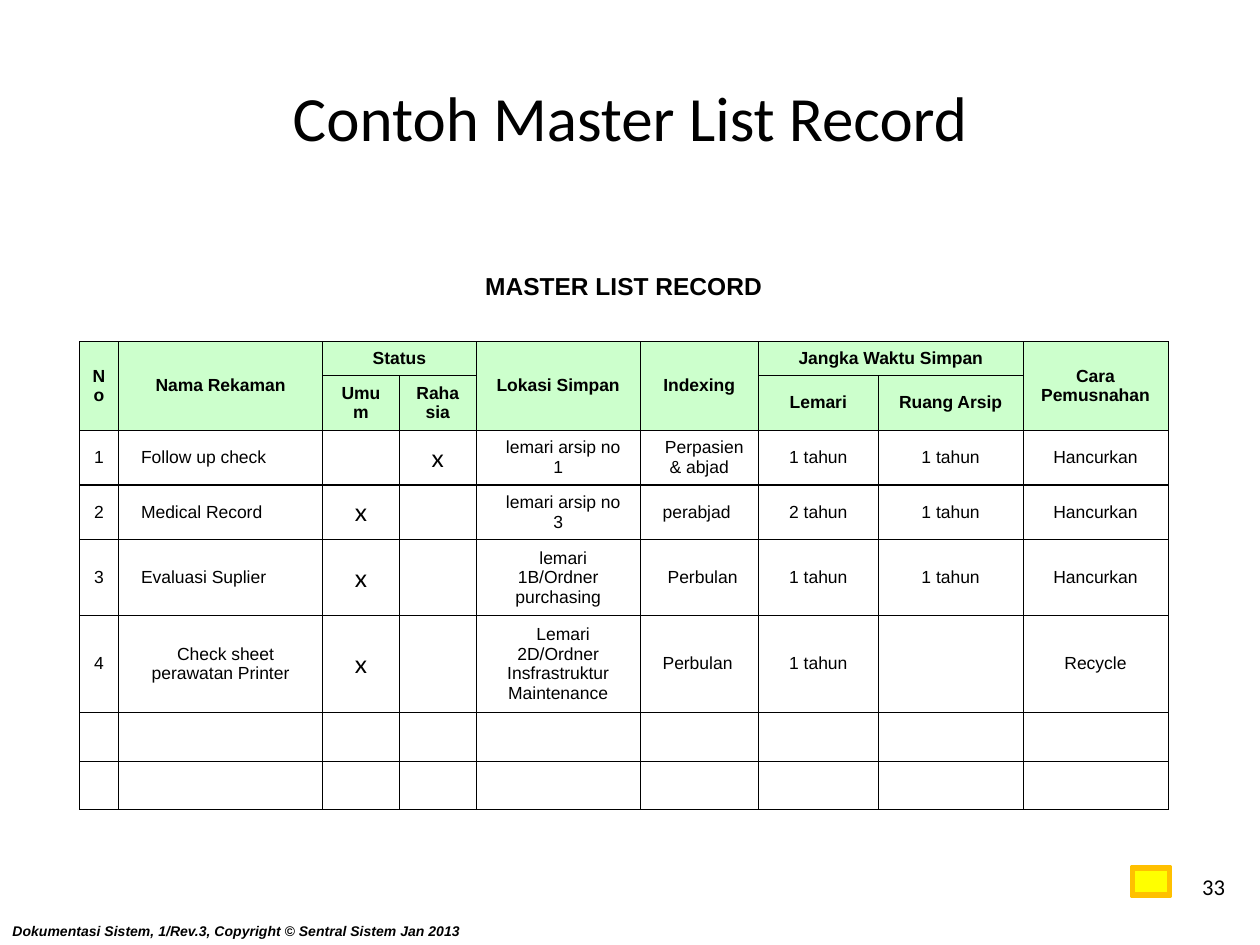
import math
from dataclasses import dataclass

from lxml import etree
from pptx import Presentation
from pptx import util as u
from pptx.dml.color import RGBColor
from pptx.enum import shapes, text
from pptx.oxml.ns import qn


@dataclass(frozen=True)
class Theme:
    black: RGBColor = RGBColor(0, 0, 0)
    white: RGBColor = RGBColor(255, 255, 255)
    green: RGBColor = RGBColor.from_string("CCFFCC")
    yellow: RGBColor = RGBColor.from_string("FFFF00")
    gold: RGBColor = RGBColor.from_string("FFC000")
    olive: RGBColor = RGBColor.from_string("CDCD00")
    sans: str = "Arial"
    head: str = "Calibri"
    mark: str = "Lato"
    title: float = 36
    large: float = 14
    page: float = 12.9
    body: float = 10
    foot: float = 8


T = Theme()
ALIGN = text.PP_ALIGN
MIDDLE = text.MSO_ANCHOR.MIDDLE
PLAIN = "{2D5ABB26-0587-4C30-8999-92F81FD0307C}"

COLS = [0.31, 1.62, 0.61, 0.61, 1.3, 0.94, 0.95, 1.15, 1.15]
ROWS = [0.23, 0.17, 0.27, 0.27, 0.39, 0.39, 0.39, 0.5, 0.39, 0.38]
RULES = [0, 0, 0.45, 0.45, 0.96, 0.96, 0.96, 0.23, 0.23, 0.23, 0.45]
FIRST, BODY = 2, 4
SPANS = [(0, 0, 0, 8), (2, 2, 2, 3), (2, 6, 2, 7)]
SPANS += [(2, c, 3, c) for c in (0, 1, 4, 5, 8)]
LEFT = {(4, 1), (5, 1), (6, 1), (5, 5), (6, 5), (7, 5)}
INDENTED = (1, 4, 5)

DATA = [
    ["MASTER LIST RECORD"] + [""] * 8,
    [""] * 9,
    ["No", "Nama Rekaman", "Status", "", "Lokasi Simpan", "Indexing",
     "Jangka Waktu Simpan", "", "Cara Pemusnahan"],
    ["", "", "Umum", "Rahasia", "", "", "Lemari", "Ruang Arsip", ""],
    ["1", "Follow up check", "", "x", "lemari arsip no 1",
     "Perpasien & abjad", "1 tahun", "1 tahun", "Hancurkan"],
    ["2", "Medical Record", "x", "", "lemari arsip no 3",
     "perabjad", "2 tahun", "1 tahun", "Hancurkan"],
    ["3", "Evaluasi Suplier", "x", "", "lemari 1B/Ordner purchasing",
     "Perbulan", "1 tahun", "1 tahun", "Hancurkan"],
    ["4", "Check sheet perawatan Printer", "x", "",
     "Lemari 2D/Ordner Insfrastruktur Maintenance",
     "Perbulan", "1 tahun", "", "Recycle"],
    [""] * 9,
    [""] * 9,
]


def style(para, face, size, bold=False, italic=False):
    font = para.font
    font.name, font.size = face, u.Pt(size)
    font.bold, font.italic = bold, italic
    font.color.rgb = T.black


def place(shape, left, top, width, height):
    shape.left, shape.top = u.Inches(left), u.Inches(top)
    shape.width, shape.height = u.Inches(width), u.Inches(height)


def add_title(slide, words):
    title = slide.shapes.title
    place(title, 0.5, 0.3, 9, 1.25)
    title.text_frame.text = words
    title.text_frame.vertical_anchor = MIDDLE
    para = title.text_frame.paragraphs[0]
    para.alignment = ALIGN.CENTER
    style(para, T.head, T.title)


def add_text(slide, words, box, face, size, align=ALIGN.LEFT, **look):
    frame = slide.shapes.add_textbox(*map(u.Inches, box)).text_frame
    frame.word_wrap = True
    frame.text = words
    para = frame.paragraphs[0]
    para.alignment = align
    style(para, face, size, **look)
    return para


def add_edge(props, side, width):
    line = etree.SubElement(props, qn("a:ln" + side), w=str(u.Pt(width)))
    if width:
        fill = etree.SubElement(line, qn("a:solidFill"))
        etree.SubElement(fill, qn("a:srgbClr"), val=str(T.black))
    else:
        etree.SubElement(line, qn("a:noFill"))


def rule_cell(cell, row):
    end = row + (cell.span_height if cell.is_merge_origin else 1)
    side = 0.45 if row >= FIRST else 0
    props = cell._tc.get_or_add_tcPr()
    for name, width in zip("LRTB", (side, side, RULES[row], RULES[end])):
        add_edge(props, name, width)


def fill_cell(cell, row, col):
    rule_cell(cell, row)
    cell.vertical_anchor = MIDDLE
    cell.fill.solid()
    cell.fill.fore_color.rgb = T.green if FIRST <= row < BODY else T.white
    words = DATA[row][col]
    para = cell.text_frame.paragraphs[0]
    if not words:
        etree.SubElement(para._p, qn("a:endParaRPr"), sz=str(T.body * 100))
        return
    para.text = words
    para.alignment = ALIGN.LEFT if (row, col) in LEFT else ALIGN.CENTER
    if row >= BODY and col in INDENTED:
        lead = 0.12 if (row, col) == (6, 5) else 0.08
        para._p.get_or_add_pPr().set("indent", str(u.Inches(lead)))
    face = T.mark if words == "x" else T.sans
    size = T.large if words == "x" or row == 0 else T.body
    style(para, face, size, bold=row < BODY)


def add_grid(slide):
    frame = slide.shapes.add_table(
        len(ROWS), len(COLS), u.Inches(0.63), u.Inches(2.11),
        u.Inches(sum(COLS)), u.Inches(sum(ROWS)))
    table = frame.table
    table.first_row = table.horz_banding = False
    frame.element.find(".//" + qn("a:tableStyleId")).text = PLAIN
    for col, width in zip(table.columns, COLS):
        col.width = u.Inches(width)
    for row, height in zip(table.rows, ROWS):
        row.height = u.Inches(height)
    for top, left, end, right in SPANS:
        table.cell(top, left).merge(table.cell(end, right))
    for row in range(len(ROWS)):
        for col in range(len(COLS)):
            fill_cell(table.cell(row, col), row, col)


def paint(shape, fill):
    shape.shadow.inherit = False
    shape.fill.solid()
    shape.fill.fore_color.rgb = fill
    shape.line.color.rgb = T.gold
    shape.line.width = u.Pt(2)


def arc(radius, start, end):
    turns = [math.radians(start + (end - start) * i / 12) for i in range(13)]
    return [(9.13 + radius * math.cos(a), 7.01 + radius * math.sin(a))
            for a in turns]


def add_button(slide):
    bevel = slide.shapes.add_shape(
        shapes.MSO_SHAPE.BEVEL, *map(u.Inches, (8.98, 6.88, 0.31, 0.23)))
    bevel.adjustments[0] = 0.07
    paint(bevel, T.yellow)
    head = [(9.16, 6.96), (9.14, 6.96), (9.18, 6.92), (9.22, 6.96), (9.2, 6.96)]
    points = [(9.1, 6.96)] + arc(0.03, 180, 0) + head + arc(0.07, 0, 180)
    build = slide.shapes.build_freeform(9.06, 6.96, scale=u.Inches(1))
    build.add_line_segments(points, close=True)
    paint(build.convert_to_shape(), T.olive)


def main():
    deck = Presentation()
    deck.slide_width, deck.slide_height = u.Inches(10), u.Inches(7.5)
    slide = deck.slides.add_slide(deck.slide_layouts[5])
    add_text(slide, "Dokumentasi Sistem, 1/Rev.3, Copyright © Sentral Sistem Jan 2013",
             (0, 7.27, 4.61, 0.24), T.sans, T.foot, bold=True, italic=True)
    add_title(slide, "Contoh Master List Record")
    page = add_text(slide, "33", (8.23, 6.9, 1.59, 0.36),
                    T.head, T.page, ALIGN.RIGHT)
    page.line_spacing = 0.9
    add_grid(slide)
    add_button(slide)
    deck.save("out.pptx")


if __name__ == "__main__":
    main()
